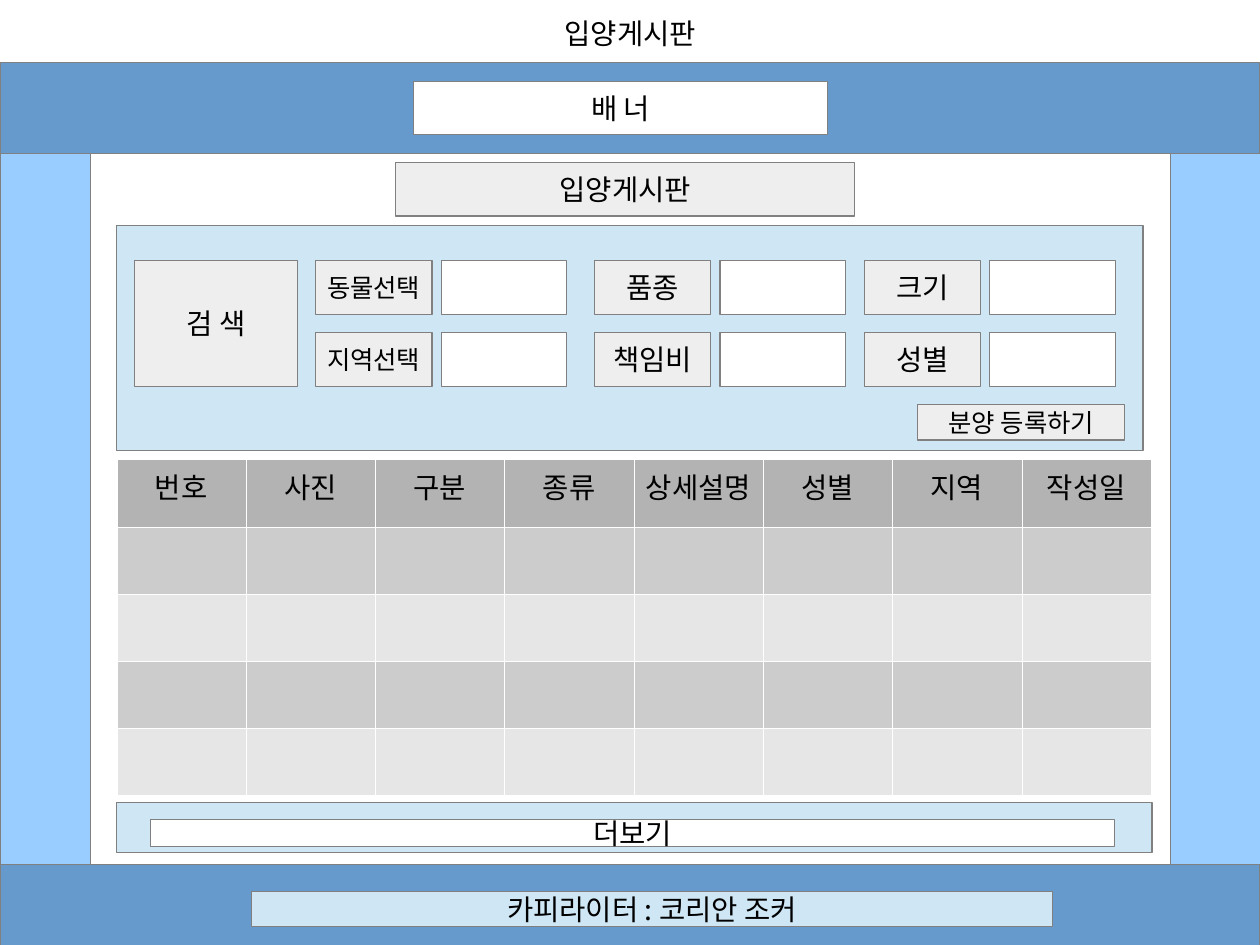
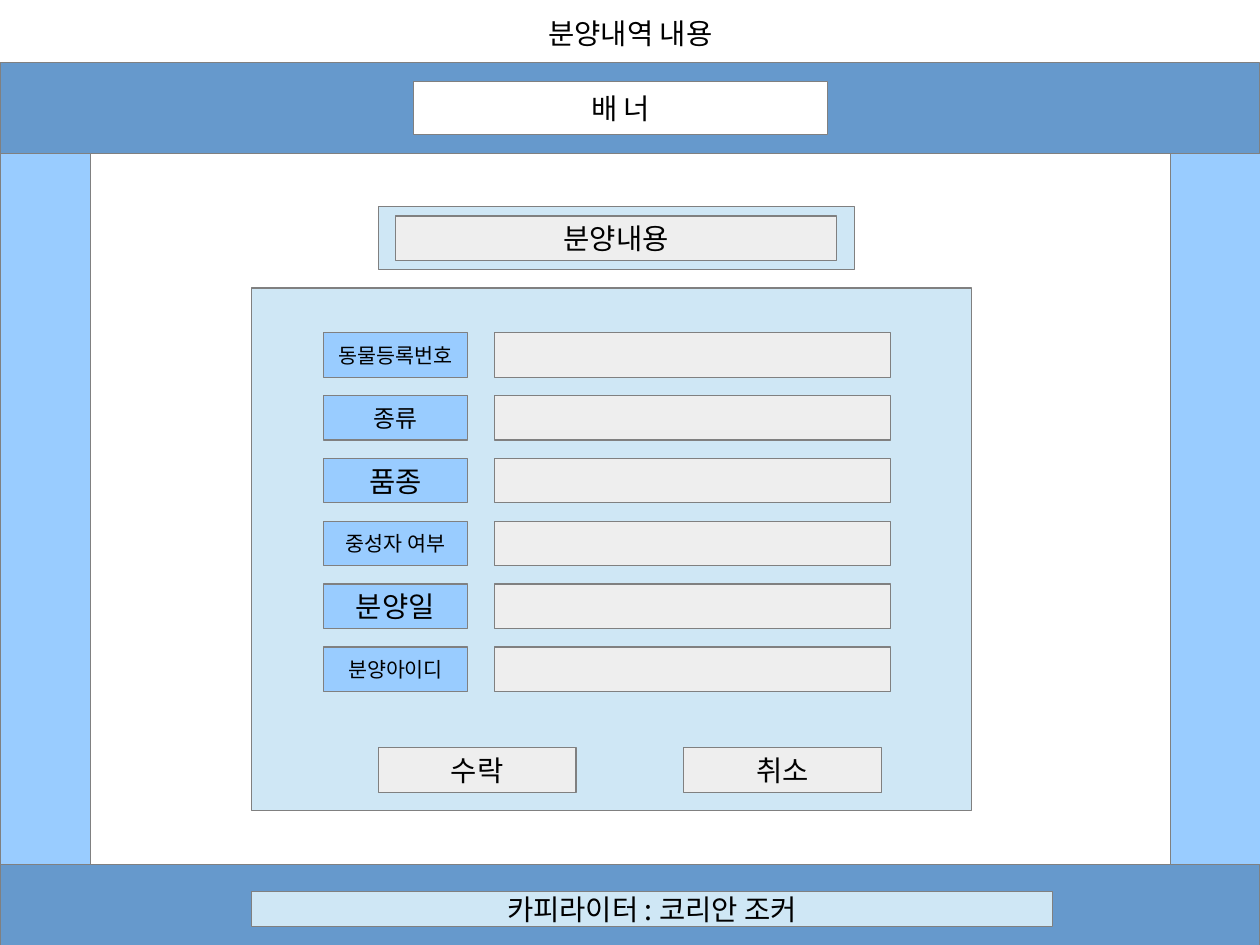
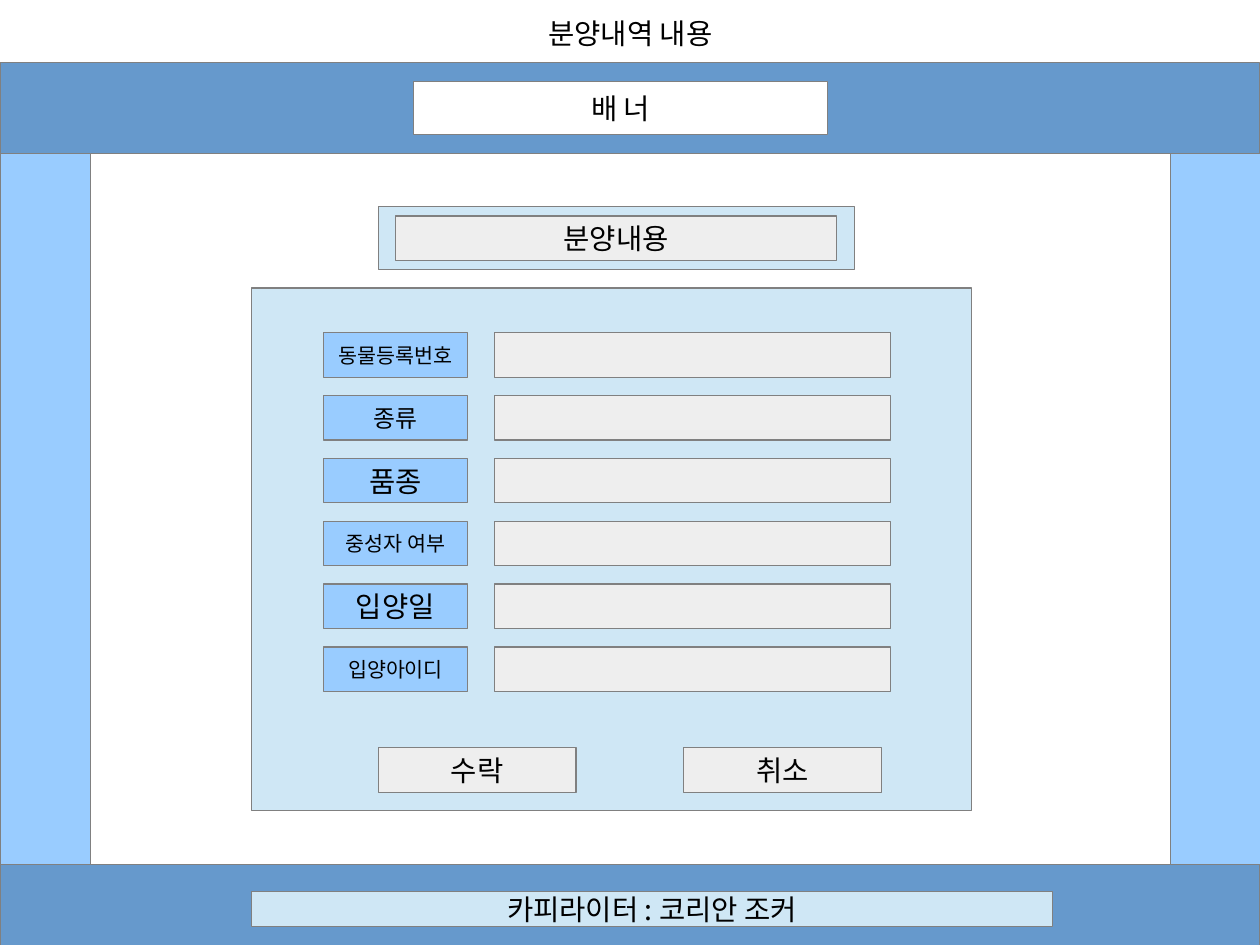
from lxml.etree import SubElement
from pptx import Presentation
from pptx.dml.color import RGBColor
from pptx.enum.shapes import MSO_SHAPE as Preset
from pptx.enum.text import MSO_ANCHOR as Anchor, MSO_AUTO_SIZE as AutoSize, PP_ALIGN as Align
from pptx.oxml import parse_xml
from pptx.oxml.ns import nsdecls, qn
from pptx.util import Cm, Inches, Pt

BAND_WIDTH = 11.02
FONT = "Noto Sans CJK KR"

BLACK = RGBColor(0x00, 0x00, 0x00)
WHITE = RGBColor(0xFF, 0xFF, 0xFF)
OUTLINE = RGBColor(0x80, 0x80, 0x80)
BAND = RGBColor(0x66, 0x99, 0xCC)
SIDE = RGBColor(0x99, 0xCC, 0xFF)
PANEL = RGBColor(0xCF, 0xE7, 0xF5)
BUTTON = RGBColor(0xEE, 0xEE, 0xEE)
TABLE_HEAD = RGBColor(0xB3, 0xB3, 0xB3)
TABLE_ROWS = (RGBColor(0xCC, 0xCC, 0xCC), RGBColor(0xE6, 0xE6, 0xE6))


def write(text_frame, text, *, size=18, color=BLACK, align=Align.CENTER, anchor=Anchor.MIDDLE, wrap=False):
    """Put one formatted paragraph into a text frame."""
    text_frame.word_wrap = wrap
    text_frame.vertical_anchor = anchor
    paragraph = text_frame.paragraphs[0]
    paragraph.alignment = align
    run = paragraph.add_run()
    run.text = text
    run.font.size = Pt(size)
    run.font.bold = False
    run.font.color.rgb = color
    run.font.name = FONT
    SubElement(run._r.get_or_add_rPr(), qn("a:ea"), typeface=FONT)


class Wireframe:
    """Shared page style together with the slide being drawn."""

    def __init__(self):
        """Open an empty presentation of the right size."""
        self.presentation = Presentation()
        self.presentation.slide_width = Cm(28)
        self.presentation.slide_height = Cm(21)
        self.slide = None

    def page(self, title):
        """Start a slide with its title, bands, banner and footer."""
        self.slide = self.presentation.slides.add_slide(self.presentation.slide_layouts[5])
        self.box(0, 0.55, BAND_WIDTH, 0.79, BAND)
        for left in (0, 10.24):
            self.box(left, 1.34, 0.79, 6.22, SIDE)
        self.box(0, 7.56, BAND_WIDTH, 0.71, BAND)
        self.box(3.62, 0.71, 3.62, 0.47, WHITE, "배 너")
        self.box(2.2, 7.8, 7.01, 0.31, PANEL, "카피라이터 : 코리안 조커")
        shape = self.slide.shapes.title
        shape.left, shape.top = Inches(4.02), Inches(0.09)
        shape.width, shape.height = Inches(2.99), Inches(0.46)
        shape.text_frame.auto_size = AutoSize.NONE
        write(shape.text_frame, title, anchor=Anchor.TOP, wrap=True)

    def box(self, left, top, width, height, fill, text="", size=18):
        """Draw an outlined rectangle, with a centred label if given."""
        shape = self.slide.shapes.add_shape(
            Preset.RECTANGLE, Inches(left), Inches(top), Inches(width), Inches(height))
        shape.shadow.inherit = False
        shape.fill.solid()
        shape.fill.fore_color.rgb = fill
        shape.line.color.rgb = OUTLINE
        shape.line.width = Pt(0)
        if text:
            write(shape.text_frame, text, size=size)

    def table(self, left, top, width, height, headings, row_count):
        """Draw a grid with a heading row and alternating empty rows."""
        table = self.slide.shapes.add_table(
            row_count, len(headings), Inches(left), Inches(top), Inches(width), Inches(height)).table
        table.first_row = table.horz_banding = False
        for row_index, row in enumerate(table.rows):
            fill = TABLE_ROWS[(row_index - 1) % 2] if row_index else TABLE_HEAD
            for cell, heading in zip(row.cells, headings):
                cell.fill.solid()
                cell.fill.fore_color.rgb = fill
                self.border(cell)
                if row_index == 0:
                    write(cell.text_frame, heading, anchor=Anchor.TOP, wrap=True)

    def border(self, cell):
        """Give a cell thin white lines on all four sides."""
        properties = cell._tc.get_or_add_tcPr()
        for index, side in enumerate("LRTB"):
            properties.insert(index, parse_xml(
                f'<a:ln{side} {nsdecls("a")} w="{Pt(0.06)}"><a:solidFill>'
                f'<a:srgbClr val="{WHITE}"/></a:solidFill></a:ln{side}>'))


def draw_board(wireframe):
    """Draw the adoption board with its search panel and list."""
    wireframe.page("입양게시판")
    wireframe.box(3.46, 1.42, 4.02, 0.47, BUTTON, "입양게시판")
    wireframe.box(1.02, 1.97, 8.98, 1.97, PANEL)
    wireframe.box(1.18, 2.28, 1.42, 1.1, BUTTON, "검 색")
    filters = (
        (2.76, 16, ("동물선택", "지역선택")),
        (5.2, 18, ("품종", "책임비")),
        (7.56, 18, ("크기", "성별")),
    )
    for left, size, labels in filters:
        for row, label in enumerate(labels):
            top = 2.28 + 0.63 * row
            wireframe.box(left, top, 1.02, 0.47, BUTTON, label, size)
            wireframe.box(left + 1.1, top, 1.1, 0.47, WHITE)
    wireframe.box(8.03, 3.54, 1.81, 0.31, BUTTON, "분양 등록하기", 16)
    headings = ("번호", "사진", "구분", "종류", "상세설명", "성별", "지역", "작성일")
    wireframe.table(1.02, 4.02, 9.05, 2.94, headings, 5)
    wireframe.box(1.02, 7.02, 9.06, 0.44, PANEL)
    wireframe.box(1.32, 7.17, 8.43, 0.24, WHITE, "더보기")


def draw_details(wireframe, action):
    """Draw the details form for one kind of action."""
    wireframe.page("분양내역 내용")
    wireframe.box(3.31, 1.81, 4.17, 0.55, PANEL)
    wireframe.box(3.46, 1.89, 3.86, 0.39, BUTTON, "분양내용")
    wireframe.box(2.2, 2.52, 6.3, 4.57, PANEL)
    fields = (
        ("동물등록번호", 13), ("종류", 15), ("품종", 18),
        ("중성자 여부", 13), (f"{action}일", 18), (f"{action}아이디", 13),
    )
    for row, (label, size) in enumerate(fields):
        top = 2.91 + 0.55 * row
        wireframe.box(2.83, top, 1.26, 0.39, SIDE, label, size)
        wireframe.box(4.33, top, 3.46, 0.39, BUTTON)
    for left, label in ((3.31, "수락"), (5.98, "취소")):
        wireframe.box(left, 6.54, 1.73, 0.39, BUTTON, label)


def main():
    """Build and save the three screens."""
    wireframe = Wireframe()
    draw_board(wireframe)
    for action in ("분양", "입양"):
        draw_details(wireframe, action)
    wireframe.presentation.save("out.pptx")


if __name__ == "__main__":
    main()
